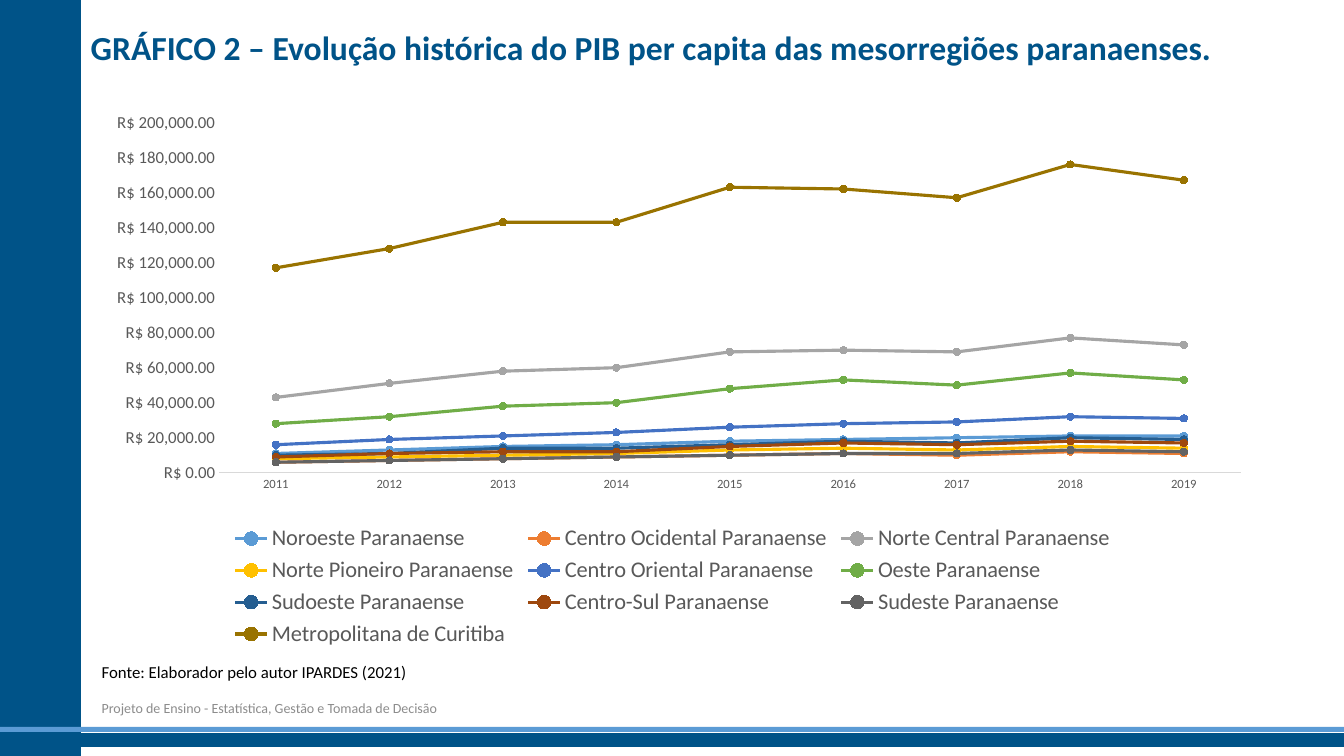
from dataclasses import dataclass

from lxml import etree
from pptx import Presentation
from pptx import util as u
from pptx.chart.data import CategoryChartData
from pptx.dml.color import RGBColor
from pptx.enum import chart as charts, shapes, text
from pptx.oxml.ns import qn

PX = 9144  # EMU per px, 100 px to the inch
PAGE_WIDTH, PAGE_HEIGHT = 1333, 750


@dataclass(frozen=True)
class Theme:
    font: str = "Calibri"
    navy: str = "005388"
    sky: str = "5B9BD5"
    black: str = "000000"
    label: str = "595959"
    muted: str = "8C8C8C"
    axis: str = "D9D9D9"
    title_size: int = 24
    legend_size: int = 16
    body_size: int = 12
    footer_size: int = 10
    year_size: int = 9


THEME = Theme()

YEARS = [str(year) for year in range(2011, 2020)]
# Region, line colour, GDP per capita in thousands of R$
REGIONS = [
    ("Noroeste Paranaense", "5B9BD5", [11, 13, 15, 16, 18, 19, 20, 21, 21]),
    ("Centro Ocidental Paranaense", "ED7D31", [6, 7, 8, 9, 10, 11, 10, 12, 11]),
    ("Norte Central Paranaense", "A5A5A5", [43, 51, 58, 60, 69, 70, 69, 77, 73]),
    ("Norte Pioneiro Paranaense", "FFC000", [8, 9, 10, 11, 13, 14, 13, 15, 14]),
    ("Centro Oriental Paranaense", "4472C4", [16, 19, 21, 23, 26, 28, 29, 32, 31]),
    ("Oeste Paranaense", "70AD47", [28, 32, 38, 40, 48, 53, 50, 57, 53]),
    ("Sudoeste Paranaense", "255E91", [10, 11, 14, 14, 16, 18, 17, 20, 19]),
    ("Centro-Sul Paranaense", "9E480E", [9, 11, 12, 12, 15, 17, 16, 18, 17]),
    ("Sudeste Paranaense", "636363", [6, 7, 8, 9, 10, 11, 11, 13, 12]),
    ("Metropolitana de Curitiba", "997300",
     [117, 128, 143, 143, 163, 162, 157, 176, 167]),
]


def emu(box):
    return [u.Emu(length * PX) for length in box]


def style_font(font, size, color, bold=False):
    font.name = THEME.font
    font.size = u.Pt(size)
    font.bold = bold
    font.color.rgb = RGBColor.from_string(color)


def write_line(shape, words, size, color, bold=False, wrap=True,
               anchor=text.MSO_ANCHOR.TOP):
    frame = shape.text_frame
    frame.word_wrap = wrap
    frame.auto_size = text.MSO_AUTO_SIZE.NONE
    frame.vertical_anchor = anchor
    para = frame.paragraphs[0]
    para.alignment = text.PP_ALIGN.LEFT
    span = para.add_run()
    span.text = words
    style_font(span.font, size, color, bold)


def add_bar(page, box, color, outlined=True):
    bar = page.shapes.add_shape(shapes.MSO_SHAPE.RECTANGLE, *emu(box))
    bar.shadow.inherit = False
    bar.fill.solid()
    bar.fill.fore_color.rgb = RGBColor.from_string(color)
    if outlined:
        bar.line.color.rgb = RGBColor.from_string(color)
        bar.line.width = u.Pt(1)
    else:
        bar.line.fill.background()


def add_frame(page, box):
    """Side band and the two stripes along the bottom."""
    left, top, width, height = box
    add_bar(page, (left, top, 80, height), THEME.navy)
    add_bar(page, (left, top + height - 22, width, 12), THEME.navy)
    add_bar(page, (left, top + height - 29, width, 5), THEME.sky, outlined=False)


def add_title(page, box):
    title = page.shapes.title
    title.left, title.top, title.width, title.height = emu(box)
    write_line(
        title,
        "GRÁFICO 2 – Evolução histórica do PIB per capita das mesorregiões paranaenses.",
        THEME.title_size, THEME.navy, bold=True)


def set_plot_layout(chart, x, y, w, h):
    """Fix the inner plot area, as fractions of the chart."""
    plot_area = chart._chartSpace.chart.plotArea
    for old in plot_area.findall(qn("c:layout")):
        plot_area.remove(old)
    layout = etree.Element(qn("c:layout"))
    manual = etree.SubElement(layout, qn("c:manualLayout"))
    settings = [("layoutTarget", "inner"), ("xMode", "edge"), ("yMode", "edge"),
                ("x", x), ("y", y), ("w", w), ("h", h)]
    for name, value in settings:
        etree.SubElement(manual, qn(f"c:{name}")).set("val", str(value))
    plot_area.insert(0, layout)


def style_axes(chart):
    years, amounts = chart.category_axis, chart.value_axis
    for axis, size in ((years, THEME.year_size), (amounts, THEME.body_size)):
        axis.has_major_gridlines = False
        axis.major_tick_mark = charts.XL_TICK_MARK.NONE
        axis.minor_tick_mark = charts.XL_TICK_MARK.NONE
        style_font(axis.tick_labels.font, size, THEME.label)
    years.format.line.color.rgb = RGBColor.from_string(THEME.axis)
    years.format.line.width = u.Pt(0.75)
    amounts.format.line.fill.background()
    amounts.minimum_scale, amounts.maximum_scale = 0, 200000
    amounts.major_unit = 20000
    amounts.tick_labels.number_format = '"R$"\\ #,##0.00'
    amounts.tick_labels.number_format_is_linked = False


def style_series(series, color):
    rgb = RGBColor.from_string(color)
    series.smooth = False
    series.format.line.color.rgb = rgb
    series.format.line.width = u.Pt(2.25)
    marker = series.marker
    marker.style = charts.XL_MARKER_STYLE.CIRCLE
    marker.size = 5
    marker.format.fill.solid()
    marker.format.fill.fore_color.rgb = rgb
    marker.format.line.color.rgb = rgb


def add_gdp_chart(page, box):
    data = CategoryChartData()
    data.categories = YEARS
    for name, _, thousands in REGIONS:
        data.add_series(name, [value * 1000 for value in thousands])
    chart = page.shapes.add_chart(
        charts.XL_CHART_TYPE.LINE_MARKERS, *emu(box), data).chart
    style_font(chart.font, THEME.footer_size, THEME.black)
    chart.has_title = False
    chart.has_legend = True
    chart.legend.position = charts.XL_LEGEND_POSITION.BOTTOM
    chart.legend.include_in_layout = False
    style_font(chart.legend.font, THEME.legend_size, THEME.label)
    chart.plots[0].vary_by_categories = False
    style_axes(chart)
    for series, (_, color, _) in zip(chart.plots[0].series, REGIONS):
        style_series(series, color)
    set_plot_layout(chart, 0.109, 0.034, 0.881, 0.639)


def add_notes_below(page, box):
    """Source line, with the project name under it."""
    left, top, width, _ = box
    source = page.shapes.add_textbox(*emu((left, top, 326, 30)))
    write_line(source, "Fonte: Elaborador pelo autor IPARDES (2021)",
               THEME.body_size, THEME.black, wrap=False)
    project = page.shapes.add_textbox(*emu((left, top + 30, width, 40)))
    write_line(project, "Projeto de Ensino - Estatística, Gestão e Tomada de Decisão",
               THEME.footer_size, THEME.muted, anchor=text.MSO_ANCHOR.MIDDLE)


def main():
    deck = Presentation()
    deck.slide_width, deck.slide_height = emu((PAGE_WIDTH, PAGE_HEIGHT))
    page = deck.slides.add_slide(deck.slide_layouts[5])
    add_frame(page, (0, 0, PAGE_WIDTH, PAGE_HEIGHT))
    add_title(page, (80, 22, 1242, 50))
    add_gdp_chart(page, (92, 103, 1150, 544))
    add_notes_below(page, (91, 652, 1151, 70))
    deck.save("out.pptx")


if __name__ == "__main__":
    main()
